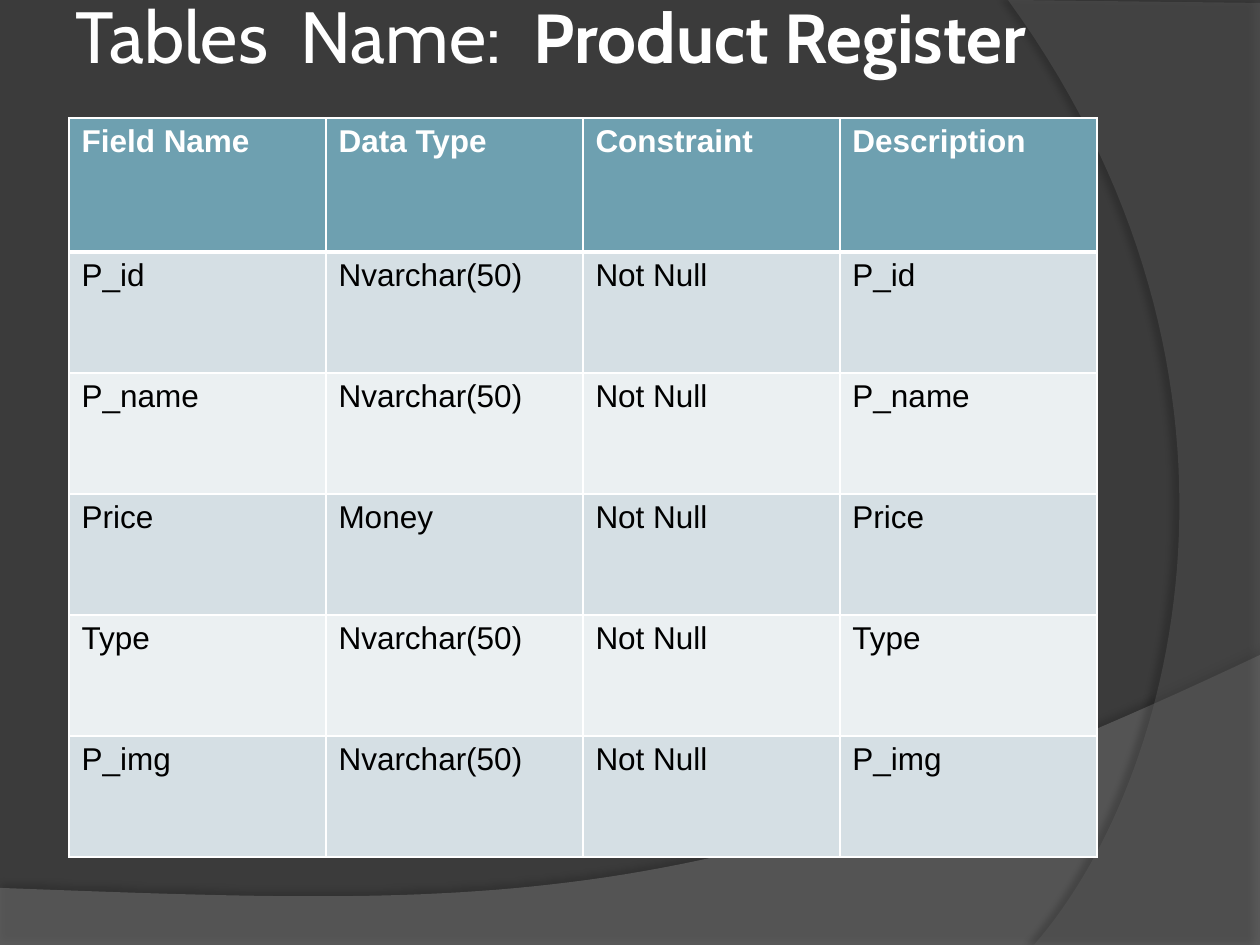
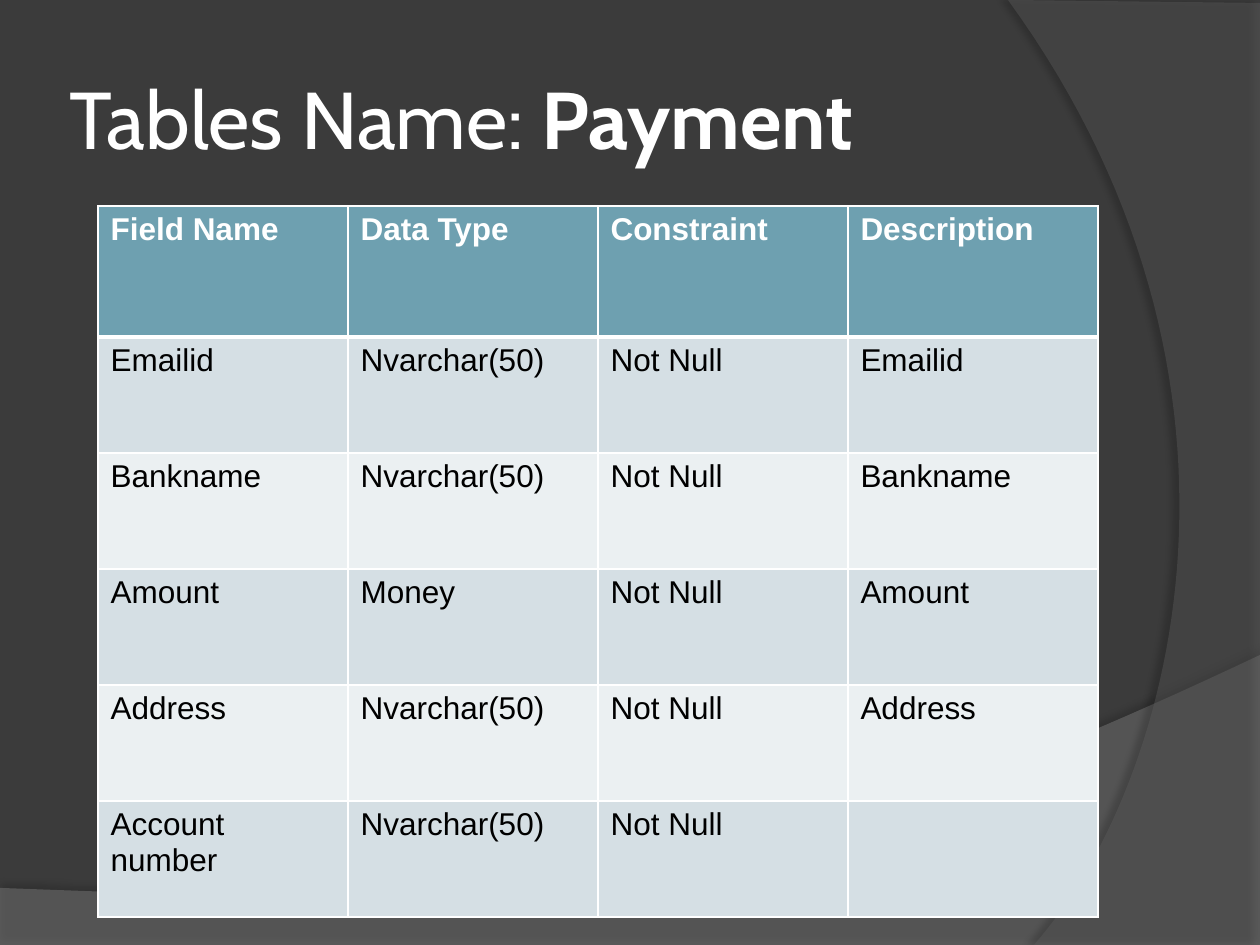
from lxml import etree
from pptx import Presentation, util as u
from pptx.dml.color import RGBColor
from pptx.enum import text
from pptx.oxml import ns

PX = 914400 / 126  # EMU per pixel

BACKDROP = RGBColor(0x3B, 0x3B, 0x3B)
WAVE = RGBColor(0x7F, 0x7F, 0x7F)
ARC = RGBColor(0x5E, 0x5E, 0x5E)
HEADER = RGBColor(0x6E, 0xA0, 0xB0)
ROW_BANDS = (RGBColor(0xD5, 0xDF, 0xE4), RGBColor(0xEB, 0xF0, 0xF2))
WHITE = RGBColor(0xFF, 0xFF, 0xFF)
BLACK = RGBColor(0, 0, 0)
TITLE_FONT, TABLE_FONT = "Cabin", "Arial"

COLUMNS = ("Field Name", "Data Type", "Constraint", "Description")
PRODUCT_FIELDS = [
    ("P_id", "Nvarchar(50)", "Not Null", "P_id"),
    ("P_name", "Nvarchar(50)", "Not Null", "P_name"),
    ("Price", "Money", "Not Null", "Price"),
    ("Type", "Nvarchar(50)", "Not Null", "Type"),
    ("P_img", "Nvarchar(50)", "Not Null", "P_img"),
]
PAYMENT_FIELDS = [
    ("Emailid", "Nvarchar(50)", "Not Null", "Emailid"),
    ("Bankname", "Nvarchar(50)", "Not Null", "Bankname"),
    ("Amount", "Money", "Not Null", "Amount"),
    ("Address", "Nvarchar(50)", "Not Null", "Address"),
    ("Account number", "Nvarchar(50)", "Not Null", ""),
]


def px(length):
    return u.Emu(round(length * PX))


def add_xml(parent, tag, **attributes):
    return etree.SubElement(parent, ns.qn(tag), attributes)


def add_color(parent, color, opacity=100):
    srgb = add_xml(parent, "a:srgbClr", val=str(color))
    add_xml(srgb, "a:alpha", val=str(opacity * 1000))


def bezier(start, control_1, control_2, end, steps=60):
    """Points of a cubic curve, ends included."""
    for step in range(steps + 1):
        t = step / steps
        weights = ((1 - t) ** 3, 3 * t * (1 - t) ** 2, 3 * t * t * (1 - t), t ** 3)
        yield tuple(sum(w * p[axis] for w, p in zip(weights, (start, control_1, control_2, end)))
                    for axis in (0, 1))


# Shared backdrop
def add_band(slide, master, outline, color, opacity, shadow_opacity, distance, angle):
    points = [(px(x), px(y)) for x, y in outline]
    builder = slide.shapes.build_freeform(*points[0], scale=1.0)
    builder.add_line_segments(points[1:], close=True)
    band = builder.convert_to_shape()
    band.fill.solid()
    band.fill.fore_color.rgb = color
    band.line.fill.background()
    band.shadow.inherit = False
    properties = band.element.spPr
    fill_color = properties.find(ns.qn("a:solidFill")).find(ns.qn("a:srgbClr"))
    add_xml(fill_color, "a:alpha", val=str(opacity * 1000))
    shadow = add_xml(properties.find(ns.qn("a:effectLst")), "a:outerShdw",
                     blurRad=str(u.Pt(4)), dist=str(u.Pt(distance)),
                     dir=str(angle * 60000), algn="ctr", rotWithShape="0")
    add_color(shadow, BLACK, shadow_opacity)
    # The master carries the band, behind its placeholders
    bands = len(master.shapes) - len(master.placeholders)
    master.shapes.element.insert(2 + bands, band.element)


def style_master(slide, master):
    master.background.fill.solid()
    master.background.fill.fore_color.rgb = BACKDROP
    wave = [(0, 945), (1260, 945),
            *bezier((1260, 655), (704, 919), (493, 906), (0, 888))]
    arc = [(1260, 3), (1260, 945),
           *bezier((1034, 945), (1178, 780), (1283, 378), (1008, 0))]
    add_band(slide, master, wave, WAVE, 45, 35, 3.5, 270)
    add_band(slide, master, arc, ARC, 40, 45, 4, 180)


# Slide content
def set_title(slide, left, top, width, height, *runs):
    title = slide.shapes.title
    title.left, title.top, title.width, title.height = map(px, (left, top, width, height))
    frame = title.text_frame
    frame.word_wrap = True
    frame.auto_size = text.MSO_AUTO_SIZE.NONE
    frame.vertical_anchor = text.MSO_ANCHOR.MIDDLE
    frame.margin_left = frame.margin_right = frame.margin_top = frame.margin_bottom = px(6)
    paragraph = frame.paragraphs[0]
    paragraph.alignment = text.PP_ALIGN.LEFT
    paragraph.font.name = TITLE_FONT
    paragraph.font.color.rgb = WHITE
    for words, size, bold in runs:
        run = paragraph.add_run()
        run.text = words
        run.font.size, run.font.bold = u.Pt(size), bold


def border_cell(cell, top=1, bottom=1):
    properties = cell._tc.get_or_add_tcPr()
    for side, width in (("L", 1), ("R", 1), ("T", top), ("B", bottom)):
        edge = add_xml(properties, f"a:ln{side}", w=str(u.Pt(width)))
        add_color(add_xml(edge, "a:solidFill"), WHITE)


def fill_cell(cell, words, background, color, bold):
    cell.fill.solid()
    cell.fill.fore_color.rgb = background
    cell.text = words
    font = cell.text_frame.paragraphs[0].font
    font.name, font.size, font.bold = TABLE_FONT, u.Pt(18), bold
    font.color.rgb = color


def add_field_table(slide, left, top, column_width, header_height, row_height, fields):
    rows = [COLUMNS, *fields]
    table = slide.shapes.add_table(
        len(rows), len(COLUMNS), px(left), px(top), px(column_width * len(COLUMNS)),
        px(header_height + row_height * len(fields))).table
    for column in table.columns:
        column.width = px(column_width)
    for r, row in enumerate(rows):
        is_header = r == 0
        table.rows[r].height = px(header_height if is_header else row_height)
        background = HEADER if is_header else ROW_BANDS[(r - 1) % 2]
        for c, words in enumerate(row):
            cell = table.cell(r, c)
            border_cell(cell, top=3 if r == 1 else 1, bottom=3 if is_header else 1)
            fill_cell(cell, words, background, WHITE if is_header else BLACK, is_header)


def main():
    deck = Presentation()
    deck.slide_width, deck.slide_height = px(1260), px(945)
    title_only = deck.slide_layouts[5]

    # Product register
    product = deck.slides.add_slide(title_only)
    style_master(product, deck.slide_master)
    set_title(product, 69, 0, 1030, 70,
              ("Tables  Name:  ", 41.4, False), ("Product Register", 39.6, True))
    add_field_table(product, 69, 118, 257, 134, 121, PRODUCT_FIELDS)

    # Payment
    payment = deck.slides.add_slide(title_only)
    set_title(payment, 63, 38, 1030, 158,
              ("Tables Name:", 46, False), (" Payment", 46, True))
    add_field_table(payment, 98, 206, 250, 131, 116, PAYMENT_FIELDS)

    deck.save("out.pptx")


if __name__ == "__main__":
    main()
